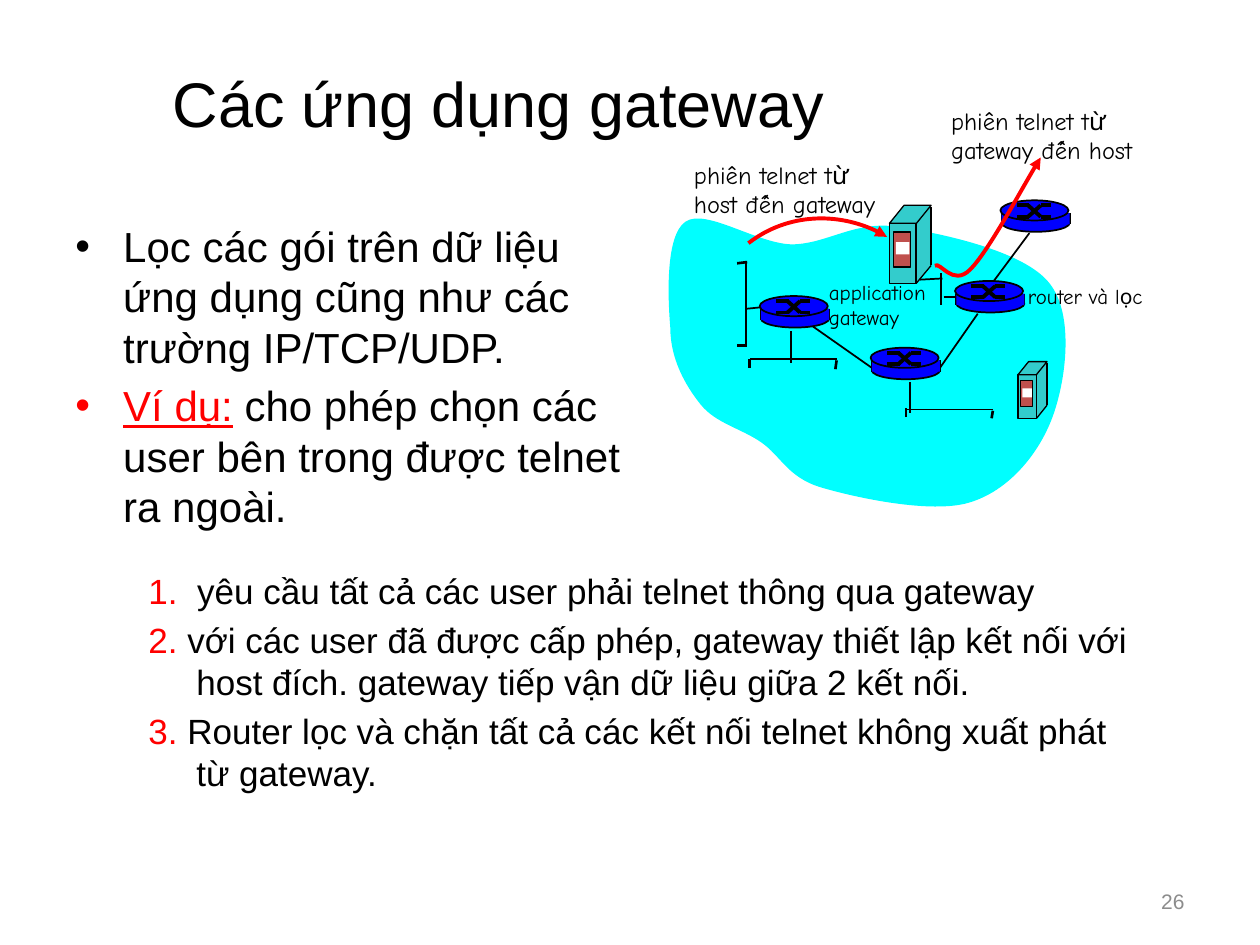
from lxml import etree
from pptx import Presentation
from pptx import util as u
from pptx.dml.color import RGBColor
from pptx.enum import shapes, text
from pptx.oxml.ns import qn

BLACK, RED, BLUE, TEAL, CYAN = "000000", "FF0000", "0000FF", "33CCCC", "00FFFF"
BRICK, WHITE, GREY = "C0504D", "FFFFFF", "8C8C8C"
SANS, HAND = "Arial", "Comic Neue"

# Content: each paragraph is a list of (text, colour, underlined) runs
TITLE = [[("Các ứng dụng gateway", BLACK, False)]]
BODY = [
    [("Lọc các gói trên dữ liệu ứng dụng cũng như các trường IP/TCP/UDP.", BLACK, False)],
    [("Ví dụ:", RED, True),
     (" cho phép chọn các user bên trong được telnet ra ngoài.", BLACK, False)],
]
STEPS = [[(number, RED, False), (words, BLACK, False)] for number, words in (
    ("1.", "  yêu cầu tất cả các user phải telnet thông qua gateway"),
    ("2.", " với các user đã được cấp phép, gateway thiết lập kết nối với host đích. "
           "gateway tiếp vận dữ liệu giữa 2 kết nối."),
    ("3.", " Router lọc và chặn tất cả các kết nối telnet không xuất phát từ gateway."),
)]
LABELS = [  # box, size, lines
    ((5.41, 1.22, 1.77, 0.57), 14, ("phiên telnet từ", "host đến gateway")),
    ((7.45, 0.79, 1.77, 0.57), 14, ("phiên telnet từ", "gateway đến host")),
    ((6.48, 2.17, 1.02, 0.5), 12, ("application", "gateway")),
    ((8.06, 2.2, 1.2, 0.3), 12, ("router và lọc",)),
]

# Network: start point, then Bezier triples
CLOUD = [(5.32, 2.6),
         (5.3, 2.36), (5.28, 1.87), (5.44, 1.76), (5.6, 1.65), (6, 1.93), (6.28, 1.94),
         (6.56, 1.94), (6.78, 1.75), (7.12, 1.8), (7.46, 1.85), (8.13, 1.99), (8.33, 2.25),
         (8.53, 2.5), (8.46, 3.03), (8.35, 3.32), (8.24, 3.61), (8, 3.9), (7.69, 3.99),
         (7.39, 4.08), (6.79, 3.95), (6.52, 3.87), (6.25, 3.79), (6.2, 3.62), (6.04, 3.51),
         (5.88, 3.4), (5.68, 3.36), (5.56, 3.21), (5.44, 3.06), (5.32, 2.85), (5.32, 2.6)]
SESSIONS = [
    [(5.94, 1.93), (6.25, 1.69), (6.72, 1.68), (7.04, 1.88)],
    [(7.42, 2.11), (7.46, 2.07), (7.56, 2.28), (7.7, 2.14),
     (7.84, 2), (8.14, 1.44), (8.26, 1.25)],
]
LAN_LINKS = [  # x1, y1, x2, y2, width
    (5.85, 2.09, 5.93, 2.08, 1.5), (5.85, 2.74, 5.93, 2.74, 1.5), (5.92, 2.08, 5.92, 2.74, 1),
    (6.63, 2.93, 6.64, 2.86, 1.5), (5.95, 2.92, 5.95, 2.85, 1.5), (6.64, 2.85, 5.95, 2.85, 1),
    (5.93, 2.45, 6.03, 2.44, 1), (6.45, 2.59, 6.92, 2.92, 1), (7.76, 2.49, 7.46, 2.92, 1),
    (7.22, 3.03, 7.22, 3.28, 1),
]
GATEWAY_LINKS = [
    (7.47, 2.42, 7.47, 2.17, 1), (7.3, 2.22, 7.48, 2.21, 1),
    (7.49, 2.36, 7.58, 2.36, 1), (8.17, 1.85, 7.88, 2.24, 1),
]
BOTTOM_LINKS = [
    (6.28, 2.63, 6.28, 2.88, 1), (7.87, 3.32, 7.88, 3.26, 1.5),
    (7.19, 3.31, 7.19, 3.24, 1.5), (7.88, 3.25, 7.19, 3.25, 1),
]
SERVERS = [(7.06, 1.63, 0.33, 0.62), (8.08, 2.87, 0.23, 0.45)]
ROUTERS = [(7.94, 1.59), (7.58, 2.23), (6.91, 2.76), (6.03, 2.35)]

# Parts: shape name, box, fill, outlined ("line" boxes hold two points, then a width)
SERVER_PARTS = [  # shares of the server's size
    ("PARALLELOGRAM", (0, 0.77, 1, 0.23), TEAL, False),
    ("RECTANGLE", (0.52, 0.02, 0.45, 0.77), TEAL, False),
    ("RECTANGLE", (0, 0.23, 0.64, 0.77), TEAL, True),
    ("PARALLELOGRAM", (0, 0, 1, 0.23), TEAL, True),
    ("line", (1, 0.02, 1, 0.77), 0.75, True),
    ("line", (1, 0.77, 0.64, 1), 0.75, True),
    ("RECTANGLE", (0.09, 0.34, 0.42, 0.45), BRICK, True),
    ("RECTANGLE", (0.15, 0.47, 0.33, 0.16), WHITE, False),
]
ROUTER_PARTS = [  # inches from the router's corner
    ("OVAL", (0.01, 0.11, 0.54, 0.14), BLUE, True),
    ("line", (0.01, 0.1, 0.01, 0.19), 1, True),
    ("line", (0.55, 0.1, 0.55, 0.19), 1, True),
    ("RECTANGLE", (0.01, 0.1, 0.54, 0.09), BLUE, False),
    ("OVAL", (0, 0, 0.54, 0.16), BLUE, True),
] + [("line", (x1, y1, x2, y2), 2.25, True)
     for a, b in ((0.04, 0.13), (0.13, 0.04))
     for x1, y1, x2, y2 in ((0.13, a, 0.23, a), (0.22, a, 0.32, b), (0.32, b, 0.4, b))]

prs = Presentation()
prs.slide_width, prs.slide_height = u.Inches(10), u.Inches(7.5)
s = prs.slides.add_slide(prs.slide_layouts[6])


def color(value):
    return RGBColor.from_string(value)


def inches(values):
    return [u.Inches(v) for v in values]


def style(sp, fill=None, line=None, width=1):
    sp.shadow.inherit = False
    if fill:
        sp.fill.solid()
        sp.fill.fore_color.rgb = color(fill)
    else:
        sp.fill.background()
    if line:
        sp.line.color.rgb = color(line)
        sp.line.width = u.Pt(width)
    else:
        sp.line.fill.background()


def add_line(parent, ends, width):
    c = parent.add_connector(shapes.MSO_CONNECTOR.STRAIGHT, *inches(ends))
    c.line.color.rgb = color(BLACK)
    c.line.width = u.Pt(width)
    etree.SubElement(c._element.spPr, qn("a:effectLst"))


def add_links(links):
    for *ends, width in links:
        add_line(s.shapes, ends, width)


def add_device(parts, x, y, w=1, h=1, outline=0.75):
    group = s.shapes.add_group_shape().shapes
    for kind, (a, b, c, d), look, outlined in parts:
        if kind == "line":
            add_line(group, (x + a * w, y + b * h, x + c * w, y + d * h), look)
            continue
        sp = group.add_shape(shapes.MSO_SHAPE[kind],
                             *inches((x + a * w, y + b * h, c * w, d * h)))
        if kind == "PARALLELOGRAM":
            sp.adjustments[0] = 0.81
        style(sp, look, BLACK if outlined else None, outline)


def add_curve(points, closed=False, **look):
    start, *rest = [inches(p) for p in points]
    builder = s.shapes.build_freeform(*start)
    builder.add_line_segments(rest, close=closed)
    sp = builder.convert_to_shape()
    # Join each three straight segments into one Bezier curve
    segments = list(sp._element.iter(qn("a:lnTo")))
    for i in range(0, len(rest), 3):
        curve = etree.Element(qn("a:cubicBezTo"))
        segments[i].addprevious(curve)
        for segment in segments[i:i + 3]:
            curve.append(segment[0])
            segment.getparent().remove(segment)
    style(sp, **look)
    return sp


def add_text(box, paragraphs, size, font=SANS, align="LEFT", anchor="TOP",
             indent=0, bullet=None, before=0, wrap=True):
    tf = s.shapes.add_textbox(*inches(box)).text_frame
    tf.word_wrap = wrap
    tf.vertical_anchor = text.MSO_ANCHOR[anchor]
    for i, runs in enumerate(paragraphs):
        p = tf.paragraphs[0] if i == 0 else tf.add_paragraph()
        p.alignment = text.PP_ALIGN[align]
        p.space_before = u.Pt(before if i else 0)
        pPr = p._p.get_or_add_pPr()
        if indent:
            pPr.set("marL", str(u.Inches(indent)))
            pPr.set("indent", str(-u.Inches(indent)))
        if bullet:
            etree.SubElement(pPr, qn("a:buFont")).set("typeface", SANS)
            etree.SubElement(pPr, qn("a:buChar")).set("char", bullet)
        for words, ink, underlined in runs:
            r = p.add_run()
            r.text = words
            r.font.size, r.font.name = u.Pt(size), font
            r.font.color.rgb = color(ink)
            r.font.underline = underlined


# Title, bullets and page number
add_text((1.08, 0.3, 5.75, 1.03), TITLE, 36, align="CENTER", anchor="MIDDLE")
add_text((0.5, 1.7, 4.7, 2.6), BODY, 24, indent=0.38, bullet="•", before=4.8)
add_text((7.17, 6.95, 2.33, 0.4), [[("26", GREY, False)]], 12, align="RIGHT", anchor="MIDDLE")

# Network diagram, back to front
add_curve(CLOUD, closed=True, fill=CYAN)
add_links(LAN_LINKS)
for place in SERVERS:
    add_device(SERVER_PARTS, *place)
add_links(GATEWAY_LINKS)
for place in ROUTERS:
    add_device(ROUTER_PARTS, *place, outline=1)
add_links(BOTTOM_LINKS)

# Telnet sessions
for points in SESSIONS:
    arrow = add_curve(points, line=RED, width=2.25)
    ln = arrow._element.spPr.find(qn("a:ln"))
    etree.SubElement(ln, qn("a:tailEnd")).set("type", "triangle")

# Diagram labels and numbered steps
for box, size, lines in LABELS:
    add_text(box, [[(words, BLACK, False)] for words in lines], size, font=HAND, wrap=False)
add_text((1.08, 4.47, 8.15, 2.18), STEPS, 20, indent=0.38, before=4)

prs.save("out.pptx")
